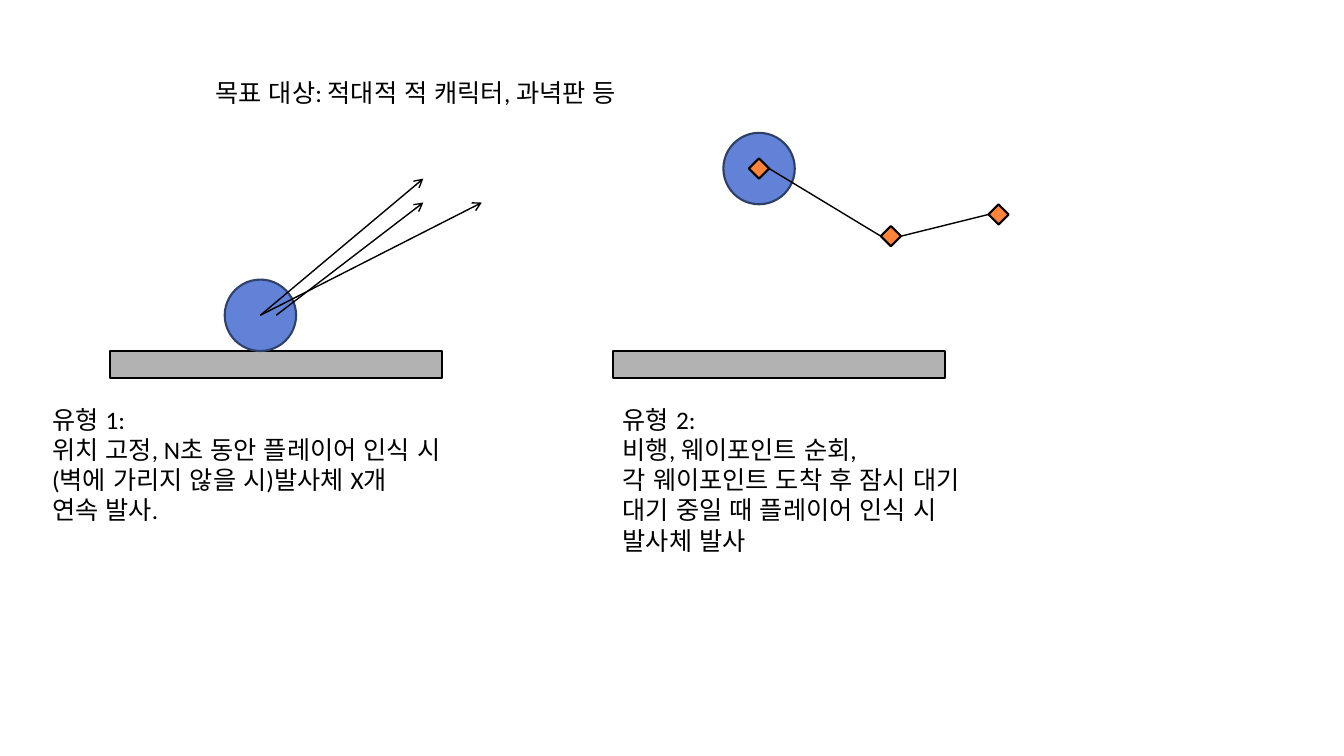
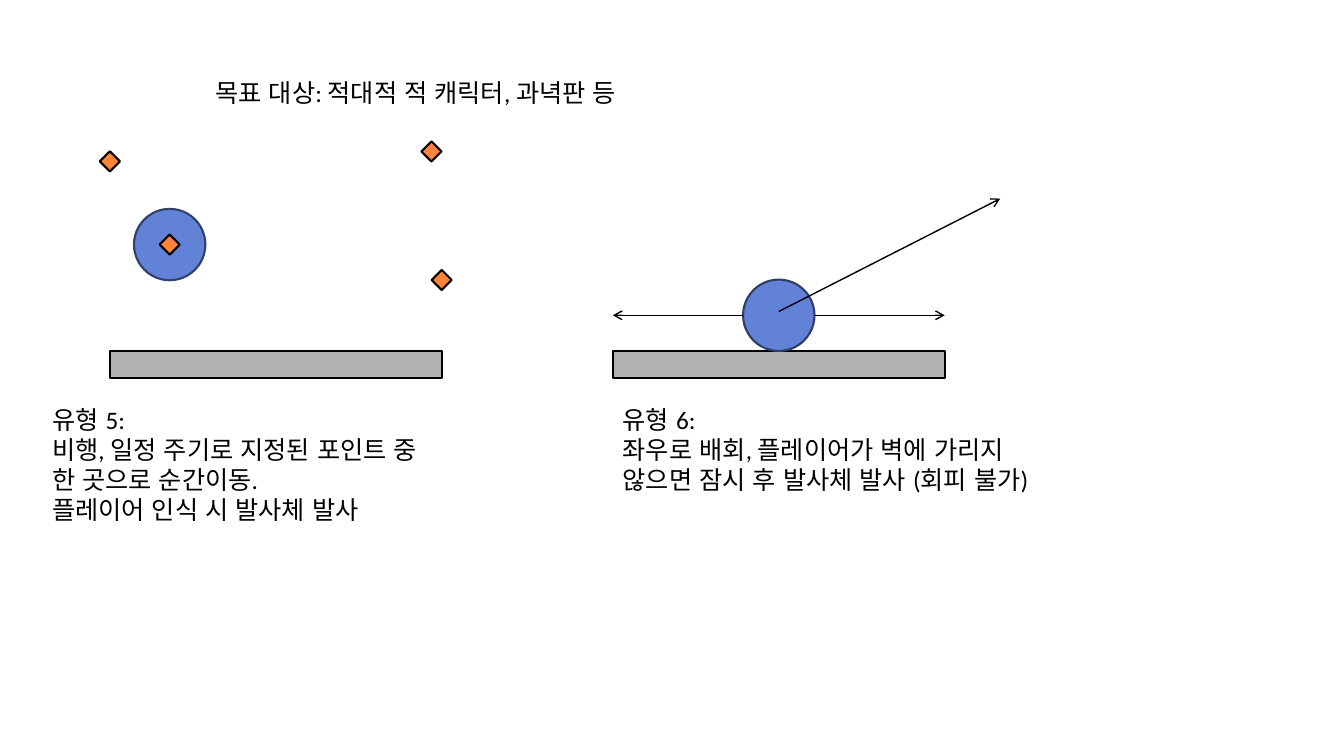
from dataclasses import dataclass

from pptx import Presentation
from pptx.dml.color import RGBColor
from pptx.enum.lang import MSO_LANGUAGE_ID as Lang
from pptx.enum.shapes import MSO_CONNECTOR as Conn, MSO_SHAPE as Shape
from pptx.enum.text import MSO_AUTO_SIZE as AutoSize
from pptx.oxml.ns import qn
from pptx.util import Pt
from lxml.etree import SubElement


@dataclass(frozen=True)
class Theme:
    font: str = "Calibri"
    text_size: float = 18
    ink: str = "000000"
    ground: str = "B2B2B2"
    enemy: str = "6182D6"
    enemy_line_left: str = "30416A"
    enemy_line_right: str = "2E3E67"
    waypoint: str = "FF843A"
    outline: float = 1.5
    stroke: float = 1


THEME = Theme()
TITLE = "목표 대상: 적대적 적 캐릭터, 과녁판 등"
GROUND_LEFTS = (78.5, 437.8)
GROUND_TOP = 250.7
GROUND_W, GROUND_H = 237, 19.4
CAPTION_LEFTS = (30.2, 437.8)
CAPTION_TOP, CAPTION_W = 285.1, 333.4
LINE_H, PADDING = 21.6, 7.2
ENEMY_D, WAYPOINT_D = 51, 14.4
STANDING_Y = GROUND_TOP - ENEMY_D / 2


def rgb(value):
    return RGBColor.from_string(value)


def add_text(s, left, top, width, lines, rows=None):
    height = (rows or len(lines)) * LINE_H + PADDING
    tf = s.shapes.add_textbox(Pt(left), Pt(top), Pt(width), Pt(height)).text_frame
    tf.word_wrap = True
    tf.auto_size = AutoSize.SHAPE_TO_FIT_TEXT
    tf.text = "\n".join(lines)
    for p in tf.paragraphs:
        for r in p.runs:
            r.font.name = THEME.font
            r.font.size = Pt(THEME.text_size)
            r.font.color.rgb = rgb(THEME.ink)
            r.font.language_id = Lang.KOREAN


def add_box(s, kind, left, top, width, height, fill, line=THEME.ink):
    sp = s.shapes.add_shape(kind, Pt(left), Pt(top), Pt(width), Pt(height))
    sp.shadow.inherit = False
    sp.fill.solid()
    sp.fill.fore_color.rgb = rgb(fill)
    sp.line.color.rgb = rgb(line)
    sp.line.width = Pt(THEME.outline)
    return sp


def add_centred(s, kind, x, y, size, fill, line=THEME.ink):
    return add_box(s, kind, x - size / 2, y - size / 2, size, size, fill, line)


def add_enemy(s, x, y, line):
    return add_centred(s, Shape.OVAL, x, y, ENEMY_D, THEME.enemy, line)


def add_waypoint(s, x, y):
    return add_centred(s, Shape.DIAMOND, x, y, WAYPOINT_D, THEME.waypoint)


def add_line(s, start=(0, 0), end=(0, 0)):
    cxn = s.shapes.add_connector(Conn.STRAIGHT, *map(Pt, (*start, *end)))
    cxn.line.color.rgb = rgb(THEME.ink)
    cxn.line.width = Pt(THEME.stroke)
    SubElement(cxn._element.spPr, qn("a:effectLst"))
    return cxn


def add_arrow(s, start, end):
    cxn = add_line(s, start, end)
    SubElement(cxn.line._get_or_add_ln(), qn("a:tailEnd"), type="arrow")


def add_route(s, points):
    stops = [add_waypoint(s, x, y) for x, y in points]
    for a, b in zip(stops, stops[1:]):
        cxn = add_line(s)
        cxn.begin_connect(a, 3)
        cxn.end_connect(b, 1)


def add_scene(prs, captions):
    s = prs.slides.add_slide(prs.slide_layouts[6])
    add_text(s, 146.9, 51.8, 666.7, [TITLE])
    for left in GROUND_LEFTS:
        add_box(s, Shape.RECTANGLE, left, GROUND_TOP, GROUND_W, GROUND_H, THEME.ground)
    for left, (lines, rows) in zip(CAPTION_LEFTS, captions):
        add_text(s, left, CAPTION_TOP, CAPTION_W, lines, rows)
    return s


def build_types_1_2(prs):
    s = add_scene(prs, [
        (["유형 1:", "위치 고정, N초 동안 플레이어 인식 시",
          "(벽에 가리지 않을 시)발사체 X개", "연속 발사."], 4),
        (["유형 2:", "비행, 웨이포인트 순회,", "각 웨이포인트 도착 후 잠시 대기",
          "대기 중일 때 플레이어 인식 시", "발사체 발사"], 5),
    ])
    enemy_x = 186
    add_enemy(s, enemy_x, STANDING_Y, THEME.enemy_line_left)
    shots = [(197.3, 302.4, 144.7), (enemy_x, 344.2, 144.7), (enemy_x, 302.4, 127.6)]
    for x, end_x, end_y in shots:
        add_arrow(s, (x, STANDING_Y), (end_x, end_y))
    route = [(542.2, 120.4), (636.4, 168.7), (713.3, 153.2)]
    add_enemy(s, *route[0], THEME.enemy_line_right)
    add_route(s, route)


def build_types_5_6(prs):
    s = add_scene(prs, [
        (["유형 5:", "비행, 일정 주기로 지정된 포인트 중", "한 곳으로 순간이동.",
          "플레이어 인식 시 발사체 발사"], 4),
        (["유형 6:", "좌우로 배회, 플레이어가 벽에 가리지 않으면 잠시 후 발사체 발사 (회피 불가)"], 3),
    ])
    points = [(121.2, 174.7), (308.2, 108.2), (78.5, 115.3), (315.5, 200)]
    add_enemy(s, *points[0], THEME.enemy_line_left)
    for x, y in points:
        add_waypoint(s, x, y)
    enemy_x = GROUND_LEFTS[1] + GROUND_W / 2
    add_enemy(s, enemy_x, STANDING_Y, THEME.enemy_line_right)
    for side in (1, -1):
        add_arrow(s, (enemy_x + side * ENEMY_D / 2, STANDING_Y),
                  (enemy_x + side * GROUND_W / 2, STANDING_Y))
    add_arrow(s, (enemy_x, 222.5), (714.5, 141.9))


def main():
    prs = Presentation()
    prs.slide_width, prs.slide_height = Pt(960), Pt(540)
    build_types_1_2(prs)
    build_types_5_6(prs)
    prs.save("out.pptx")


if __name__ == "__main__":
    main()
